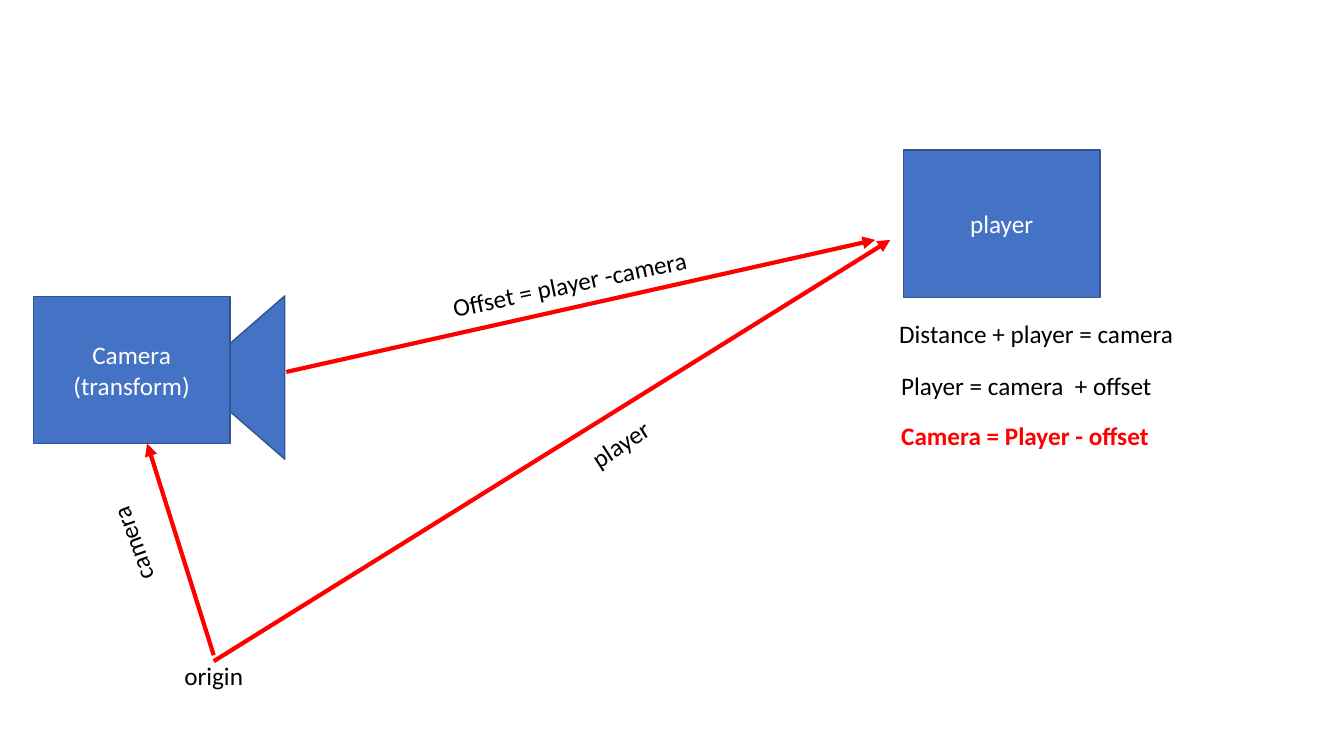
from lxml import etree
from pptx import Presentation
from pptx.dml.color import RGBColor
from pptx.enum.shapes import MSO_CONNECTOR, MSO_SHAPE
from pptx.enum.text import MSO_ANCHOR, MSO_AUTO_SIZE, PP_ALIGN
from pptx.oxml.ns import qn
from pptx.util import Inches, Pt

RECTANGLE = MSO_SHAPE.RECTANGLE
TRIANGLE = MSO_SHAPE.ISOSCELES_TRIANGLE
STRAIGHT = MSO_CONNECTOR.STRAIGHT
MIDDLE = MSO_ANCHOR.MIDDLE
CENTER = PP_ALIGN.CENTER
GROW = MSO_AUTO_SIZE.SHAPE_TO_FIT_TEXT

COLORS = {
    "blue": "4472C4",
    "outline": "325491",
    "red": "FF0000",
    "black": "000000",
    "white": "FFFFFF",
}


class Diagram:
    """Holds the style and the current slide."""

    font = "Calibri"
    size = Pt(18)

    def __init__(self, page):
        self.page = page

    def color(self, name):
        return RGBColor.from_string(COLORS[name])

    def format_text(self, frame, color, bold=False, align=None):
        for para in frame.paragraphs:
            para.alignment = align
            for span in para.runs:
                span.font.name = self.font
                span.font.size = self.size
                span.font.bold = bold
                span.font.color.rgb = self.color(color)

    def block(self, kind, left, top, width, height, text="", rotation=0):
        shape = self.page.shapes.add_shape(
            kind, Inches(left), Inches(top), Inches(width), Inches(height))
        shape.rotation = rotation
        shape.shadow.inherit = False
        shape.fill.solid()
        shape.fill.fore_color.rgb = self.color("blue")
        shape.line.color.rgb = self.color("outline")
        shape.line.width = Pt(1)
        if text:
            shape.text_frame.text = text
            shape.text_frame.vertical_anchor = MIDDLE
            self.format_text(shape.text_frame, "white", align=CENTER)

    def label(self, text, left, top, width, rotation=0, color="black", bold=False):
        box = self.page.shapes.add_textbox(
            Inches(left), Inches(top), Inches(width), Inches(0.4))
        box.rotation = rotation
        frame = box.text_frame
        frame.word_wrap = False
        frame.auto_size = GROW
        frame.text = text
        self.format_text(frame, color, bold)

    def arrow(self, start, end):
        points = [Inches(value) for value in (*start, *end)]
        connector = self.page.shapes.add_connector(STRAIGHT, *points)
        connector.line.color.rgb = self.color("red")
        connector.line.width = Pt(3)
        line = connector.line._get_or_add_ln()
        etree.SubElement(line, qn("a:tailEnd"), type="triangle")
        etree.SubElement(connector._element.spPr, qn("a:effectLst"))


deck = Presentation()
deck.slide_width = Inches(13.33)
deck.slide_height = Inches(7.5)
diagram = Diagram(deck.slides.add_slide(deck.slide_layouts[6]))

# Camera with its lens behind the body, and the player
diagram.block(TRIANGLE, 1.55, 3.28, 1.62, 0.93, rotation=270)
diagram.block(RECTANGLE, 0.33, 2.94, 1.95, 1.46, "Camera\n(transform)")
diagram.block(RECTANGLE, 8.96, 1.49, 1.95, 1.46, "player")

# Vectors
diagram.arrow((2.84, 3.69), (8.68, 2.38))
diagram.arrow((2.12, 6.5), (1.46, 4.4))
diagram.arrow((2.12, 6.56), (8.83, 2.38))

# Vector names
diagram.label("Offset = player -camera ", 4.37, 2.6, 2.65, rotation=348.1)
diagram.label("player", 5.74, 4.2, 0.83, rotation=327.2)
diagram.label("camera", 0.83, 5.19, 0.96, rotation=250)
diagram.label("origin", 1.73, 6.5, 0.79)

# Equations
diagram.label("Distance + player = camera", 8.82, 3.11, 2.95)
diagram.label("Player = camera  + offset", 8.84, 3.62, 2.72)
diagram.label("Camera = Player - offset", 8.84, 4.12, 2.7, color="red", bold=True)

deck.save("out.pptx")
